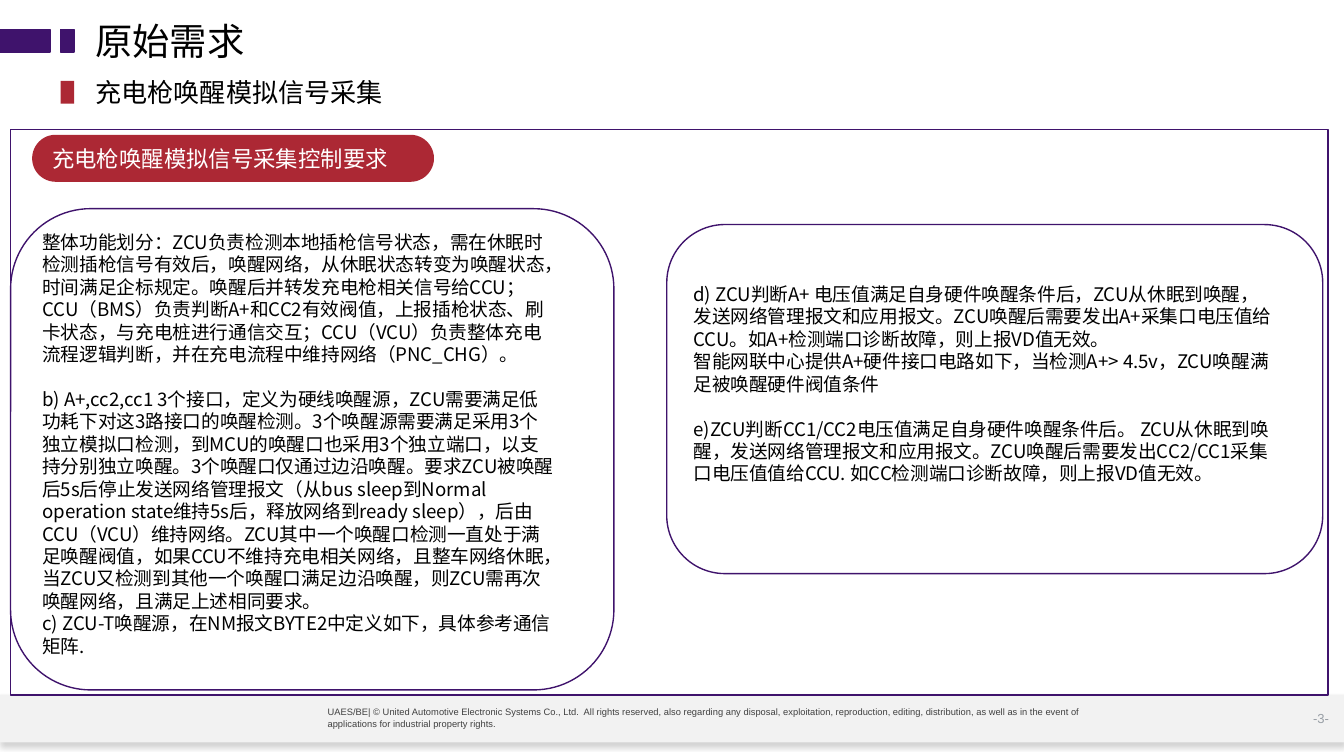
from pptx import Presentation
from pptx.util import Pt
from pptx.dml.color import RGBColor
from pptx.enum.shapes import MSO_SHAPE
from pptx.enum.text import PP_ALIGN, MSO_ANCHOR
from pptx.oxml import parse_xml
from pptx.oxml.ns import nsdecls
from lxml.etree import SubElement

HUES = {"ink": "000000", "white": "FFFFFF", "plum": "3F136C", "red": "AC2834",
        "band": "F2F2F2", "gray": "404040", "pale": "999FA6", "shade": "808080"}
CJK = "Noto Sans CJK SC"
WIDE, HIGH = 720, 405

# Content
TITLE = "原始需求"
TOPIC = "充电枪唤醒模拟信号采集"
LABEL = "充电枪唤醒模拟信号采集控制要求"
LEFT = [
    "整体功能划分：ZCU负责检测本地插枪信号状态，需在休眠时检测插枪信号有效后，唤醒网络，从休眠状态转变为唤醒状态，时间满足企标规定。唤醒后并转发充电枪相关信号给CCU；CCU（BMS）负责判断A+和CC2有效阀值，上报插枪状态、刷卡状态，与充电桩进行通信交互；CCU（VCU）负责整体充电流程逻辑判断，并在充电流程中维持网络（PNC_CHG）。",
    "b) A+,cc2,cc1 3个接口，定义为硬线唤醒源，ZCU需要满足低功耗下对这3路接口的唤醒检测。3个唤醒源需要满足采用3个独立模拟口检测，到MCU的唤醒口也采用3个独立端口，以支持分别独立唤醒。3个唤醒口仅通过边沿唤醒。要求ZCU被唤醒后5s后停止发送网络管理报文（从bus sleep到Normal operation state维持5s后，释放网络到ready sleep），后由CCU（VCU）维持网络。ZCU其中一个唤醒口检测一直处于满足唤醒阀值，如果CCU不维持充电相关网络，且整车网络休眠，当ZCU又检测到其他一个唤醒口满足边沿唤醒，则ZCU需再次唤醒网络，且满足上述相同要求。",
    "c) ZCU-T唤醒源，在NM报文BYTE2中定义如下，具体参考通信矩阵.",
]
RIGHT = [
    "d) ZCU判断A+ 电压值满足自身硬件唤醒条件后，ZCU从休眠到唤醒，发送网络管理报文和应用报文。ZCU唤醒后需要发出A+采集口电压值给CCU。如A+检测端口诊断故障，则上报VD值无效。",
    "智能网联中心提供A+硬件接口电路如下，当检测A+> 4.5v，ZCU唤醒满足被唤醒硬件阀值条件",
    "e)ZCU判断CC1/CC2电压值满足自身硬件唤醒条件后。 ZCU从休眠到唤醒，发送网络管理报文和应用报文。ZCU唤醒后需要发出CC2/CC1采集口电压值值给CCU. 如CC检测端口诊断故障，则上报VD值无效。",
]
RIGHTS = ("UAES/BE| © United Automotive Electronic Systems Co., Ltd.  All rights reserved, "
          "also regarding any disposal, exploitation, reproduction, editing, distribution, "
          "as well as in the event of applications for industrial property rights.")

deck = Presentation()
deck.slide_width, deck.slide_height = Pt(WIDE), Pt(HIGH)
slide = deck.slides.add_slide(deck.slide_layouts[6])


def tint(name):
    return RGBColor.from_string(HUES[name])


def block(box, fill=None, line=None, kind=MSO_SHAPE.RECTANGLE):
    shape = slide.shapes.add_shape(kind, *map(Pt, box))
    shape.shadow.inherit = False
    if fill:
        shape.fill.solid()
        shape.fill.fore_color.rgb = tint(fill)
    else:
        shape.fill.background()
    if line:
        shape.line.color.rgb = tint(line)
        shape.line.width = Pt(0.75)
    else:
        shape.line.fill.background()
    return shape


def write(text, box=None, host=None, size=10, font=CJK, hue="ink", align=PP_ALIGN.LEFT,
          anchor=MSO_ANCHOR.MIDDLE, wrap=True, top=0, pitch=None, gaps=()):
    """Fill host, or a new text box without insets; gaps lists the paragraphs set apart."""
    frame = (host or slide.shapes.add_textbox(*map(Pt, box))).text_frame
    frame.word_wrap, frame.vertical_anchor = wrap, anchor
    if not host:
        frame.margin_left = frame.margin_right = frame.margin_bottom = 0
        frame.margin_top = Pt(top)
    for n, part in enumerate([text] if isinstance(text, str) else text):
        para = frame.add_paragraph() if n else frame.paragraphs[0]
        para.alignment = align
        if pitch:
            para.line_spacing = Pt(pitch)
        if n in gaps:
            para.space_before = Pt(pitch)
        run = para.add_run()
        run.text = part
        run.font.size, run.font.name = Pt(size), font
        run.font.color.rgb = tint(hue)
        SubElement(run.font._element, "{http://schemas.openxmlformats.org/drawingml/2006/main}ea",
                   typeface=CJK)


# Footer band with its soft shadow
foot = block((0, 372.2, WIDE, 25.6), "band")
props = foot._element.spPr
props.remove(props.find("{*}effectLst"))
props.append(parse_xml(
    f'<a:effectLst {nsdecls("a")}><a:outerShdw blurRad="{Pt(3.1)}" dist="{Pt(1.8)}" dir="5400000">'
    f'<a:srgbClr val="{HUES["shade"]}"><a:alpha val="35000"/></a:srgbClr>'
    '</a:outerShdw></a:effectLst>'))
write("-3-", (697.7, 372.2, 20, 25.6), size=7, font="Arial", hue="pale",
      align=PP_ALIGN.CENTER, wrap=False)
write(RIGHTS, (175.5, 371.5, 430, 26), size=5, font="Arial", hue="gray")

# Title and topic with their markers
write(TITLE, (51, 9.5, 122, 24.5), size=20)
for x, w in ((32.5, 7.2), (0, 26.8)):
    block((x, 15.8, w, 12.2), "plum", "plum")
write(TOPIC, (51, 40.5, 281, 17.3), size=14, font="Arial")
block((32.5, 43.4, 7.2, 12.2), "red")

# Label pill
pill = block((17.2, 72.2, 215.3, 25.2), "red", kind=MSO_SHAPE.ROUNDED_RECTANGLE)
pill.adjustments[0] = 0.5
write(LABEL, host=pill, size=12, hue="white")

# Outlines
for box in ((5.7, 111.8, 323.2, 257.8), (357.2, 120.3, 351.4, 187)):
    block(box, line="plum", kind=MSO_SHAPE.ROUNDED_RECTANGLE)
block((5.7, 69.4, 705.8, 303), line="plum")

# Requirements
for text, box, top, gaps in ((LEFT, (22.7, 111.6, 275, 258.5), 12, (1,)),
                             (RIGHT, (371.5, 137.5, 312, 138.2), 14, (2,))):
    write(text, box, anchor=MSO_ANCHOR.TOP, top=top, pitch=12.03, gaps=gaps)

deck.save("out.pptx")
